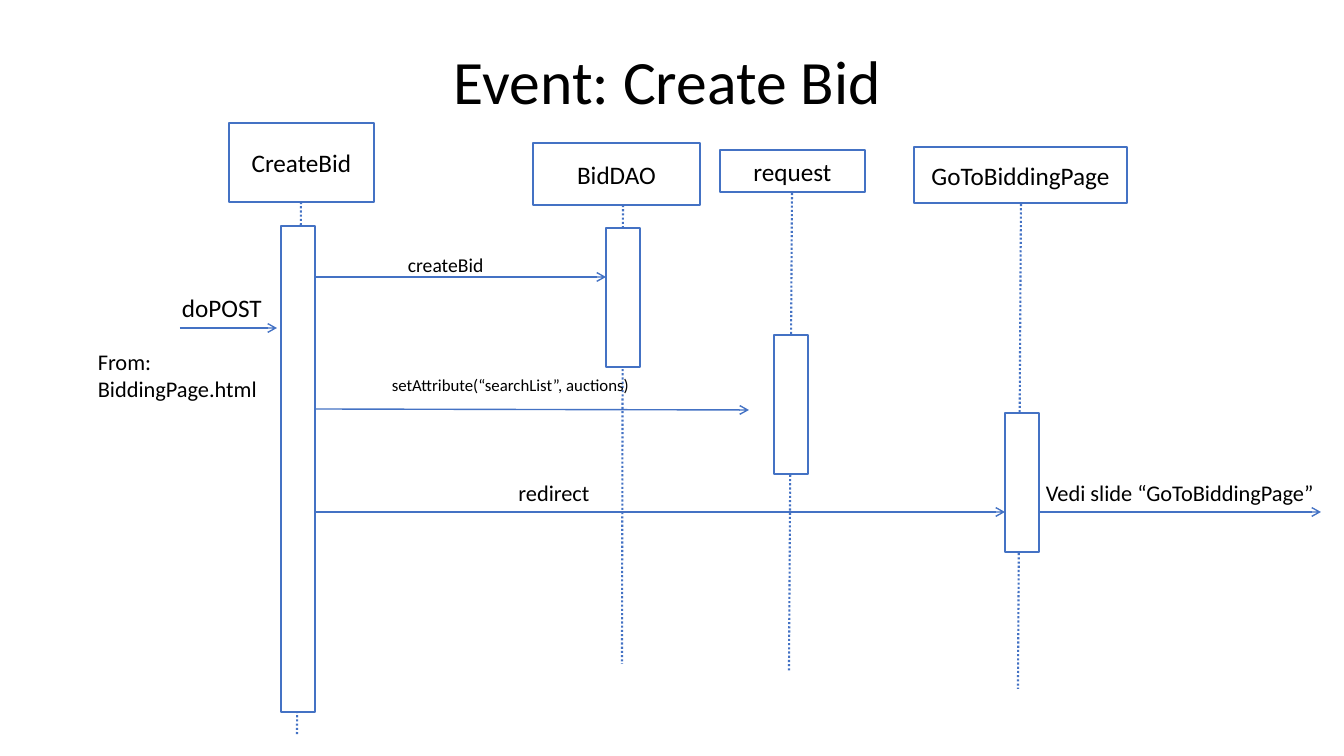
from lxml import etree
from pptx import Presentation
from pptx.dml.color import RGBColor
from pptx.enum.dml import MSO_LINE
from pptx.enum.shapes import MSO_CONNECTOR, MSO_SHAPE
from pptx.enum.text import MSO_ANCHOR, PP_ALIGN
from pptx.oxml.ns import qn
from pptx.util import Emu, Pt

BLUE = RGBColor(0x44, 0x72, 0xC4)
WHITE = RGBColor(0xFF, 0xFF, 0xFF)
BLACK = RGBColor(0, 0, 0)
FONT = "Calibri"
LEFT, CENTER = PP_ALIGN.LEFT, PP_ALIGN.CENTER
TOP, MIDDLE = MSO_ANCHOR.TOP, MSO_ANCHOR.MIDDLE
DOTTED = MSO_LINE.ROUND_DOT
STRAIGHT = MSO_CONNECTOR.STRAIGHT
RECTANGLE = MSO_SHAPE.RECTANGLE
BAR_WIDTH = 34

PARTICIPANTS = [
    ("CreateBid", (229, 123, 145, 79), (301, 202, 297, 735), (281, 226, 486)),
    ("BidDAO", (533, 143, 167, 62), (623, 205, 622, 664), (606, 228, 139)),
    ("request", (720, 150, 145, 42), (792, 193, 789, 671), (774, 335, 139)),
    ("GoToBiddingPage", (914, 147, 213, 56), (1021, 204, 1018, 689), (1005, 413, 139)),
]
MESSAGES = [
    (180, 328, 277, 328),
    (315, 277, 606, 277),
    (315, 409, 749, 410),
    (315, 512, 1005, 512),
    (1039, 512, 1321, 512),
]
LABELS = [
    ("doPOST", (172, 287, 101, 40), 18, LEFT, False),
    ("From: BiddingPage.html", (88, 343, 185, 64), 16, LEFT, True),
    ("createBid", (398, 248, 424, 34), 14, LEFT, True),
    ("setAttribute(“searchList”, auctions)", (284, 370, 453, 30), 12, CENTER, True),
    ("redirect", (340, 474, 428, 37), 16, CENTER, True),
    ("Vedi slide “GoToBiddingPage”", (1036, 474, 291, 37), 16, LEFT, False),
]


def px(*lengths):
    return [Emu(round(n * 914400 / 100.8)) for n in lengths]


def set_text(tf, text, size, align, anchor):
    tf.vertical_anchor = anchor
    p = tf.paragraphs[0]
    p.text = text
    p.alignment = align
    p.font.name = FONT
    p.font.size = Pt(size)
    p.font.color.rgb = BLACK
    return p


def add_label(s, text, frame, size, align, wrap, anchor=TOP):
    tf = s.shapes.add_textbox(*px(*frame)).text_frame
    tf.word_wrap = wrap
    return set_text(tf, text, size, align, anchor)


def add_box(s, frame, text=""):
    sp = s.shapes.add_shape(RECTANGLE, *px(*frame))
    sp.shadow.inherit = False
    sp.fill.solid()
    sp.fill.fore_color.rgb = WHITE
    sp.line.color.rgb = BLUE
    sp.line.width = Pt(1)
    if text:
        set_text(sp.text_frame, text, 18, CENTER, MIDDLE)


def add_line(s, ends, width):
    line = s.shapes.add_connector(STRAIGHT, *px(*ends))
    line.line.color.rgb = BLUE
    line.line.width = Pt(width)
    etree.SubElement(line._element.spPr, qn("a:effectLst"))
    return line


def add_lifeline(s, ends):
    add_line(s, ends, 1.5).line.dash_style = DOTTED


def add_message(s, ends):
    ln = add_line(s, ends, 1).line._get_or_add_ln()
    etree.SubElement(ln, qn("a:tailEnd"), type="arrow")


def main():
    prs = Presentation()
    prs.slide_width, prs.slide_height = px(1344, 756)
    s = prs.slides.add_slide(prs.slide_layouts[6])

    title = add_label(s, "Event: Create Bid", (88, 12, 1159, 146), 44, CENTER, True, MIDDLE)
    title.line_spacing = 0.9

    for name, head, lifeline, (x, y, height) in PARTICIPANTS:
        add_box(s, head, name)
        add_lifeline(s, lifeline)
        add_box(s, (x, y, BAR_WIDTH, height))
    for ends in MESSAGES:
        add_message(s, ends)
    for label in LABELS:
        add_label(s, *label)

    prs.save("out.pptx")


if __name__ == "__main__":
    main()
